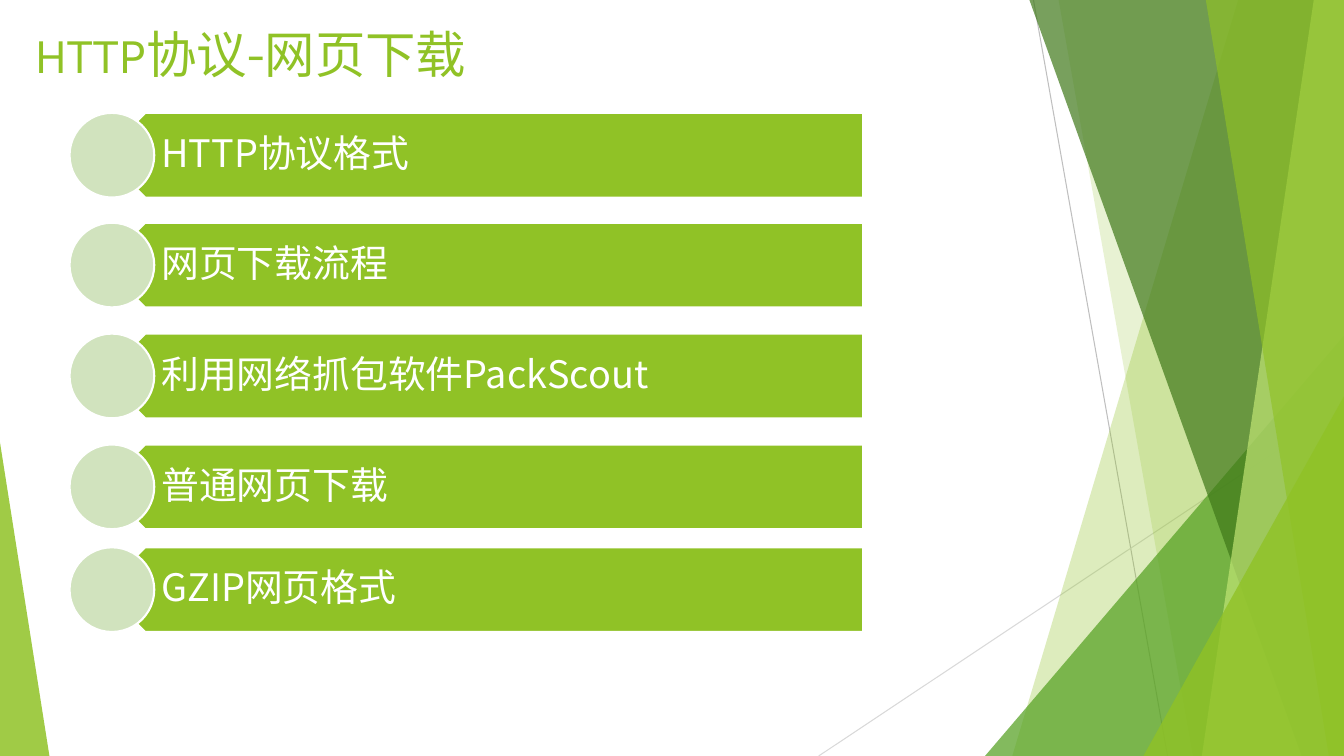
from dataclasses import dataclass

import pptx
import pptx.dml.color
import pptx.enum.shapes
import pptx.enum.text
import pptx.oxml.ns
import pptx.oxml.xmlchemy
import pptx.util
from lxml import etree

PX = 9144  # EMU, 100 px to the inch
WIDE, HIGH = 1333, 750
KIND = pptx.enum.shapes.MSO_SHAPE
MID = pptx.enum.text.MSO_ANCHOR.MIDDLE
qn = pptx.oxml.ns.qn


@dataclass(frozen=True)
class Theme:
    lime: str = "90C226"
    leaf: str = "54A021"
    moss: str = "3F7819"
    pale: str = "C0E474"
    mint: str = "D1E3BE"
    white: str = "FFFFFF"
    gray: str = "BFBFBF"
    mist: str = "D9D9D9"
    head: str = "Karla"
    body: str = "Noto Sans CJK SC"
    title: int = 36
    item: int = 27


@dataclass(frozen=True)
class Ray:
    start: tuple[int, int]
    end: tuple[int, int]
    color: str


@dataclass(frozen=True)
class Facet:
    """Band from a slanted left edge to the right side of the slide."""
    top: int
    foot: int
    color: str
    alpha: int


@dataclass(frozen=True)
class Wedge:
    """Right triangle standing on the foot of the slide."""
    left: int
    top: int
    width: int
    tip: int
    color: str
    alpha: int


@dataclass(frozen=True)
class Item:
    top: int
    text: str


T = Theme()

RAYS = [
    Ray((1025, 0), (1158, HIGH), T.gray),
    Ray((WIDE, 403), (812, HIGH), T.mist),
]
DECOR = [
    Facet(1228, 1004, T.lime, 30),
    Facet(1050, 1183, T.lime, 20),
    Wedge(977, 333, 356, 1, T.leaf, 72),
    Facet(1021, 1291, T.moss, 70),
    Facet(1303, 1192, T.pale, 70),
    Facet(1196, 1318, T.lime, 65),
    Wedge(1134, 393, 199, 1, T.lime, 80),
    Wedge(0, 439, 49, 0, T.lime, 85),
]
ITEMS = [
    Item(112, "HTTP协议格式"),
    Item(221, "网页下载流程"),
    Item(331, "利用网络抓包软件PackScout"),
    Item(441, "普通网页下载"),
    Item(543, "GZIP网页格式"),
]
SIZE = 84  # height of a bar and its disc


def rgb(code: str) -> pptx.dml.color.RGBColor:
    return pptx.dml.color.RGBColor.from_string(code)


def box(*sides: int) -> list[int]:
    return [side * PX for side in sides]


def paint(shape, color: str, alpha: int = 100, edge: str = "") -> None:
    shape.shadow.inherit = False
    shape.fill.solid()
    shape.fill.fore_color.rgb = rgb(color)
    if alpha < 100:
        tint = shape.element.spPr.find(qn("a:solidFill"))[0]
        etree.SubElement(tint, qn("a:alpha"), val=str(alpha * 1000))
    if edge:
        shape.line.color.rgb = rgb(edge)
        shape.line.width = pptx.util.Pt(1.5)
    else:
        shape.line.fill.background()


def style(para, face: str, size: int, color: str) -> None:
    para.alignment = pptx.enum.text.PP_ALIGN.LEFT
    para.font.name = face
    para.font.size = pptx.util.Pt(size)
    para.font.color.rgb = rgb(color)


def add_ray(slide, ray: Ray) -> None:
    line = slide.shapes.add_connector(
        pptx.enum.shapes.MSO_CONNECTOR.STRAIGHT, *box(*ray.start, *ray.end))
    line.line.color.rgb = rgb(ray.color)
    line.line.width = pptx.util.Pt(0.75)
    etree.SubElement(line.element.spPr, qn("a:effectLst"))


def add_decor(slide, part: Facet | Wedge) -> None:
    if isinstance(part, Facet):
        pen = slide.shapes.build_freeform(part.top, 0, scale=PX)
        pen.add_line_segments(
            [(WIDE, 0), (WIDE, HIGH), (part.foot, HIGH)], close=True)
        shape = pen.convert_to_shape()
    else:
        shape = slide.shapes.add_shape(
            KIND.ISOSCELES_TRIANGLE,
            *box(part.left, part.top, part.width, HIGH - part.top))
        shape.adjustments[0] = part.tip
    paint(shape, part.color, part.alpha)


def add_item(slide, item: Item) -> None:
    bar = slide.shapes.add_shape(KIND.PENTAGON, *box(102, item.top, 754, SIZE))
    bar.rotation = 180
    paint(bar, T.lime, edge=T.white)

    label = slide.shapes.add_textbox(*box(123, item.top, 733, SIZE))
    frame = label.text_frame
    frame.word_wrap = True
    frame.vertical_anchor = MID
    frame.margin_left, frame.margin_right = box(37, 21)
    frame.margin_top, frame.margin_bottom = box(11, 11)
    frame.text = item.text
    para = frame.paragraphs[0]
    para.line_spacing = 0.9
    style(para, T.body, T.item, T.white)

    disc = slide.shapes.add_shape(KIND.OVAL, *box(69, item.top, SIZE, SIZE))
    paint(disc, T.mint, edge=T.white)


def set_title(slide, text: str) -> None:
    title = slide.shapes.title
    title.left, title.top, title.width, title.height = box(24, 14, 616, 78)
    frame = title.text_frame
    frame.text = text
    frame.word_wrap = True
    frame.auto_size = pptx.enum.text.MSO_AUTO_SIZE.NONE
    frame.vertical_anchor = MID
    para = frame.paragraphs[0]
    style(para, T.head, T.title, T.lime)
    font = para.runs[0].font
    font.name = T.head
    latin = para.runs[0]._r.rPr.find(qn("a:latin"))
    latin.addnext(latin.makeelement(qn("a:ea"), {"typeface": T.head}))


def main() -> None:
    deck = pptx.Presentation()
    deck.slide_width, deck.slide_height = box(WIDE, HIGH)
    slide = deck.slides.add_slide(deck.slide_layouts[5])
    for ray in RAYS:
        add_ray(slide, ray)
    for part in DECOR:
        add_decor(slide, part)
    for item in ITEMS:
        add_item(slide, item)
    set_title(slide, "HTTP协议-网页下载")
    deck.save("out.pptx")


if __name__ == "__main__":
    main()
